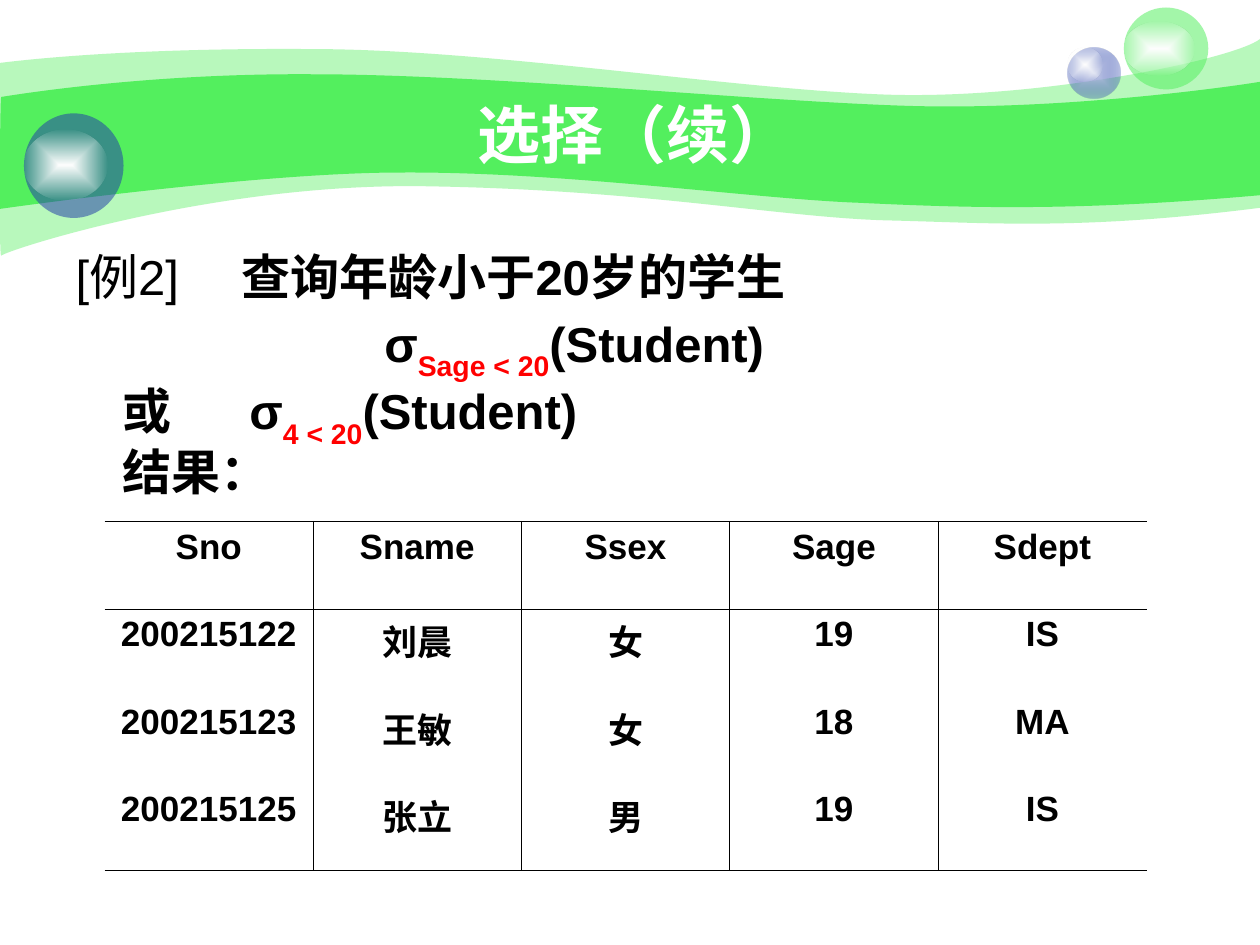
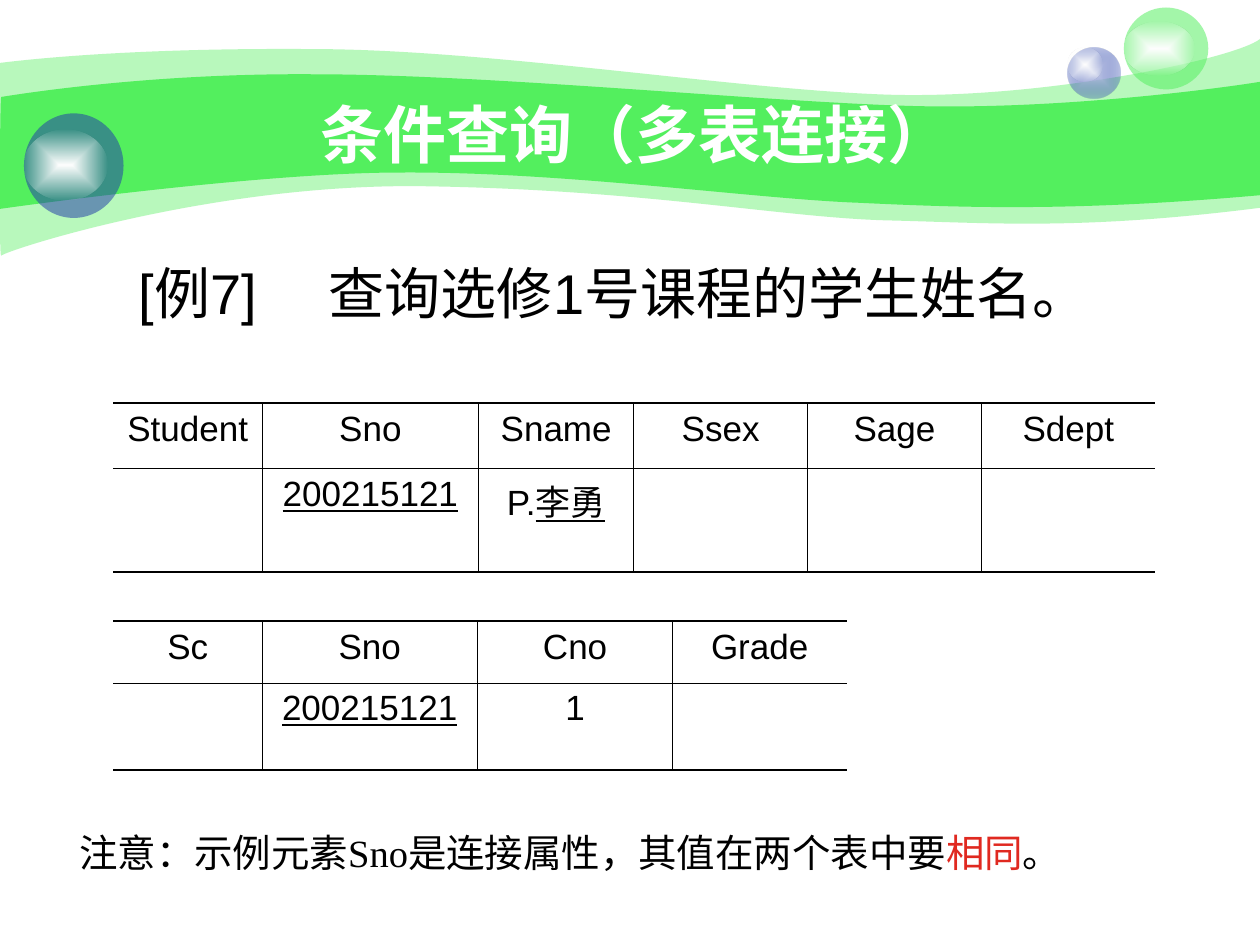
import pptx
import pptx.dml.color
import pptx.enum.shapes
import pptx.enum.text
import pptx.oxml
import pptx.oxml.ns
import pptx.util

COLUMNS, ROWS = 10, 7.5
GREEN, BLUE, PALE_BLUE = "53EF5E", "233DA9", "C7CEE9"
WHITE, BLACK, RED, NOTE_RED = "FFFFFF", "000000", "FF0000", "E02920"
THIN, THICK = 0.45, 1.08
ALIGN = pptx.enum.text.PP_ALIGN
SUBSCRIPT = {"color": RED, "bold": True, "baseline": -30}
BOLD = {"bold": True}

PALE_WAVE = (0, 0.5), [
    [(0.24, 0.47), (1.07, 0.38), (2.47, 0.39)],
    [(3.86, 0.39), (5.75, 0.7), (6.99, 0.75)],
    [(8.22, 0.8), (9.8, 0.47), (10, 0.31)],
    [(10, 1.65)],
    [(8.58, 1.83), (7.87, 1.77), (7.05, 1.75)],
    [(6.22, 1.73), (5.15, 1.51), (3.43, 1.48)],
    [(1.72, 1.44), (0.04, 1.99), (0.01, 2.03)],
    [(-0.01, 2.08), (0, 0.75), (0, 0.5)],
]
BRIGHT_WAVE = (0.01, 0.77), [
    [(0.02, 0.77), (1.1, 0.58), (2.48, 0.59)],
    [(3.86, 0.59), (5.95, 0.8), (7.18, 0.84)],
    [(8.41, 0.88), (9.76, 0.69), (10, 0.65)],
    [(10, 1.55)],
    [(8.53, 1.68), (7.65, 1.65), (6.82, 1.61)],
    [(5.99, 1.58), (4.47, 1.36), (3.17, 1.37)],
    [(2.03, 1.37), (-0.02, 1.66), (-0.01, 1.66)],
    [(0, 1.66), (0, 0.77), (0.01, 0.77)],
]


def grid(units):
    return pptx.util.Inches(units)


def rgb(color):
    return pptx.dml.color.RGBColor.from_string(color)


def place(target, left, top, width, height):
    target.left, target.top = grid(left), grid(top)
    target.width, target.height = grid(width), grid(height)


def drawing_xml(tag, content, attributes=""):
    namespace = pptx.oxml.ns.nsdecls("a")
    return pptx.oxml.parse_xml(f"<a:{tag} {namespace} {attributes}>{content}</a:{tag}>")


def color_xml(color, opacity):
    alpha = f'<a:alpha val="{opacity * 1000}"/>' if opacity < 100 else ""
    return f'<a:srgbClr val="{color}">{alpha}</a:srgbClr>'


def paint(shape, *stops):
    shape.shadow.inherit = False
    shape.line.fill.background()
    shape.fill.background()
    if len(stops) == 1:
        fill = drawing_xml("solidFill", color_xml(*stops[0]))
    else:
        center, edge = (color_xml(*stop) for stop in stops)
        fill = drawing_xml(
            "gradFill",
            f'<a:gsLst><a:gs pos="0">{center}</a:gs><a:gs pos="100000">{edge}</a:gs></a:gsLst>'
            '<a:path path="rect"><a:fillToRect l="50000" t="50000" r="50000" b="50000"/></a:path>',
            'rotWithShape="1"',
        )
    properties = shape.element.spPr
    properties.replace(properties.find(pptx.oxml.ns.qn("a:noFill")), fill)
    return shape


def bend(wave, segments):
    corners = iter(list(wave.element.iter(pptx.oxml.ns.qn("a:lnTo"))))
    for segment in segments:
        controls = [next(corners) for _ in segment]
        if len(controls) == 3:
            curve = drawing_xml("cubicBezTo", "")
            controls[0].addprevious(curve)
            for control in controls:
                curve.append(control[0])
                control.getparent().remove(control)


def add_wave(slide, start, segments, opacity):
    outline = slide.shapes.build_freeform(*map(grid, start))
    outline.add_line_segments([tuple(map(grid, point)) for segment in segments for point in segment])
    wave = outline.convert_to_shape()
    bend(wave, segments)
    return paint(wave, (GREEN, opacity))


def add_ball(slide, box, *stops):
    ball = slide.shapes.add_shape(pptx.enum.shapes.MSO_SHAPE.OVAL, *map(grid, box))
    return paint(ball, *stops)


def decorate(layout, slide):
    glow = (WHITE, 100), (WHITE, 0)
    decorations = [
        add_wave(slide, *PALE_WAVE, 41),
        add_wave(slide, *BRIGHT_WAVE, 100),
        add_ball(slide, (8.47, 0.38, 0.42, 0.4), (PALE_BLUE, 100), (BLUE, 31)),
        add_ball(slide, (8.47, 0.38, 0.28, 0.27), *glow),
        add_ball(slide, (8.92, 0.06, 0.67, 0.65), (GREEN, 53)),
        add_ball(slide, (8.92, 0.17, 0.56, 0.43), *glow),
        add_ball(slide, (0.19, 0.9, 0.79, 0.83), (BLUE, 53)),
        add_ball(slide, (0.19, 1.03, 0.66, 0.56), *glow),
    ]
    for decoration in decorations:
        layout.shapes.element.append(decoration.element)


def prepare_layout(layout):
    for placeholder in list(layout.placeholders)[2:]:
        placeholder.element.getparent().remove(placeholder.element)
    place(layout.placeholders[0], 1, 0.75, 8.08, 0.62)


def add_run(paragraph, text, size=20, color=BLACK, font="Arial", bold=False, underline=False, baseline=0):
    run = paragraph.add_run()
    run.text = text
    run.font.size, run.font.name = pptx.util.Pt(size), font
    run.font.bold, run.font.underline = bold, underline
    run.font.color.rgb = rgb(color)
    if baseline:
        run._r.get_or_add_rPr().set("baseline", str(baseline * 1000))


def write_line(paragraph, runs, align=ALIGN.LEFT, margin=0, hanging=0, spacing=1, before=0, **common):
    properties = paragraph._p.get_or_add_pPr()
    properties.set("marL", str(grid(margin)))
    properties.set("indent", str(-grid(hanging)))
    properties.append(drawing_xml("buNone", ""))
    paragraph.alignment = align
    paragraph.line_spacing = spacing
    paragraph.space_before = pptx.util.Pt(before)
    for text, style in runs:
        add_run(paragraph, text, **{**common, **style})


def add_title(slide, text):
    frame = slide.shapes.title.text_frame
    frame.vertical_anchor = pptx.enum.text.MSO_ANCHOR.MIDDLE
    frame.auto_size = pptx.enum.text.MSO_AUTO_SIZE.NONE
    write_line(frame.paragraphs[0], [(text, BOLD)], ALIGN.CENTER, size=36, color=WHITE)


def add_body(slide, box, lines, before=0, **common):
    body = slide.placeholders[1]
    place(body, *box)
    frame = body.text_frame
    frame.auto_size = pptx.enum.text.MSO_AUTO_SIZE.NONE
    for index, (margin, hanging, runs) in enumerate(lines):
        paragraph = frame.add_paragraph() if index else frame.paragraphs[0]
        write_line(paragraph, runs, ALIGN.JUSTIFY, margin, hanging,
                   before=before if index else 0, **common)


def set_borders(cell, **widths):
    for side in "LRTB":
        width = widths.get(side, 0)
        fill = f'<a:solidFill><a:srgbClr val="{BLACK}"/></a:solidFill>' if width else "<a:noFill/>"
        border = drawing_xml(f"ln{side}", fill, f'w="{pptx.util.Pt(width)}"')
        cell._tc.get_or_add_tcPr().append(border)
    cell.fill.background()


def add_relation(slide, left, top, columns, rows, content, bold=False):
    box = map(grid, (left, top, sum(columns), sum(rows)))
    table = slide.shapes.add_table(len(rows), len(columns), *box).table
    table.first_row = table.horz_banding = False
    for column, width in zip(table.columns, columns):
        column.width = grid(width)
    last_row, last_column = len(rows) - 1, len(columns) - 1
    for r, (height, values) in enumerate(zip(rows, content)):
        table.rows[r].height = grid(height)
        for c, value in enumerate(values):
            cell = table.cell(r, c)
            runs = [(value, {})] if isinstance(value, str) else value
            if value:
                write_line(cell.text_frame.paragraphs[0], runs, ALIGN.CENTER, bold=bold)
            set_borders(
                cell,
                L=THIN if c else 0,
                R=THIN if c < last_column else 0,
                T=(THICK, THIN)[r] if r < 2 else 0,
                B=THIN if r == 0 else THICK if r == last_row else 0,
            )


def add_note(slide, box, runs, **common):
    frame = slide.shapes.add_textbox(*map(grid, box)).text_frame
    frame.word_wrap = True
    write_line(frame.paragraphs[0], runs, **common)


def fill_selection(slide):
    add_title(slide, "选择（续）")
    add_body(slide, (0.5, 2, 8.99, 2.06), [
        (1.32, 1.32, [("[例2]\t", {}), ("查询年龄小于20岁的学生", BOLD)]),
        (2.45, 0, [("σ", BOLD), ("Sage < 20", SUBSCRIPT), ("(Student)", BOLD)]),
        (1.38, 1.01, [("或\tσ", BOLD), ("4 < 20", SUBSCRIPT), ("(Student)", BOLD)]),
        (0.37, 0, [("结果：", BOLD)]),
    ], size=28, spacing=0.8, before=7)
    add_relation(slide, 0.83, 4.14, [8.27 / 5] * 5, [2.77 / 4] * 4, [
        ("Sno", "Sname", "Ssex", "Sage", "Sdept"),
        ("200215122", "刘晨", "女", "19", "IS"),
        ("200215123", "王敏", "女", "18", "MA"),
        ("200215125", "张立", "男", "19", "IS"),
    ], bold=True)


def fill_join_query(slide):
    example = {"underline": True}
    student_number = [("200215121", example)]
    add_title(slide, "条件查询（多表连接）")
    add_body(slide, (0.5, 2, 8.67, 1.67), [
        (2.01, 1.51, [("[例7]\t查询选修1号课程的学生姓名。", {})]),
    ], size=32)
    add_relation(slide, 0.9, 3.2, [1.18, 1.72, 1.23] + [1.38] * 3, [0.52, 0.82], [
        ("Student", "Sno", "Sname", "Ssex", "Sage", "Sdept"),
        ("", student_number, [("P.", {}), ("李勇", example)], "", "", ""),
    ])
    add_note(slide, (0.53, 6.46, 8.21, 0.58), [
        ("注意：示例元素Sno是连接属性，其值在两个表中要", {}),
        ("相同", {"color": NOTE_RED}),
        ("。", {}),
    ], size=22, font="Times New Roman", spacing=1.2)
    add_relation(slide, 0.9, 4.93, [1.18, 1.71, 1.55, 1.38], [0.49, 0.69], [
        ("Sc", "Sno", "Cno", "Grade"),
        ("", student_number, "1", ""),
    ])


def main():
    deck = pptx.Presentation()
    deck.slide_width, deck.slide_height = grid(COLUMNS), grid(ROWS)
    layout = deck.slide_layouts[1]
    prepare_layout(layout)
    selection, join_query = (deck.slides.add_slide(layout) for _ in range(2))
    decorate(layout, selection)
    fill_selection(selection)
    fill_join_query(join_query)
    deck.save("out.pptx")


if __name__ == "__main__":
    main()
